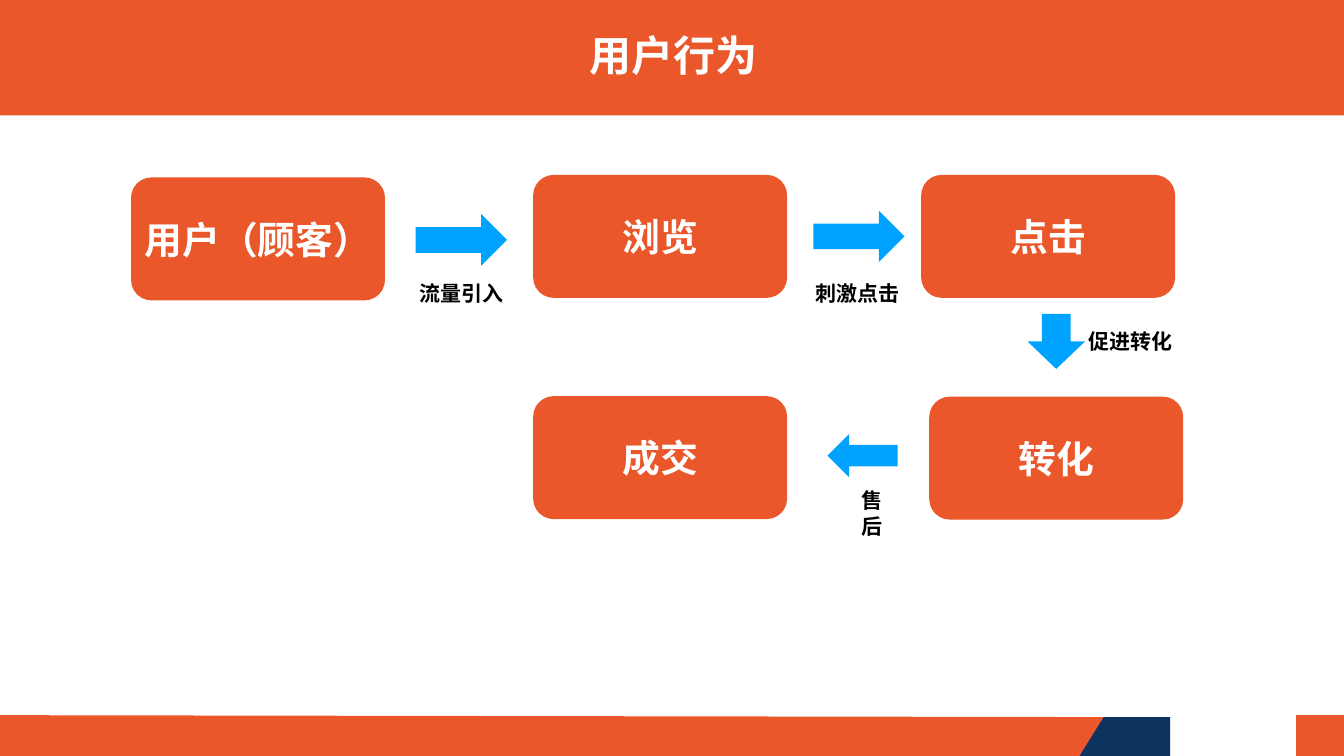
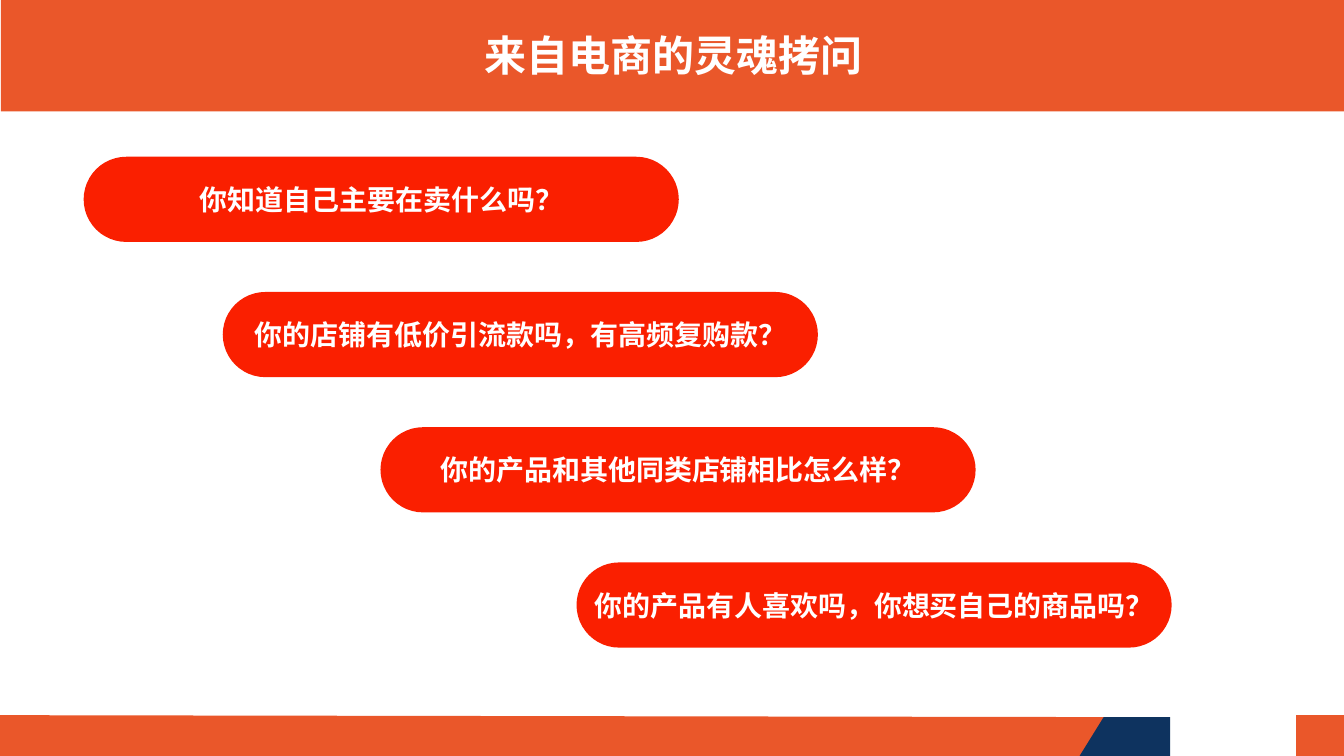
from lxml import etree
from pptx import Presentation
from pptx.dml.color import RGBColor
from pptx.enum.shapes import MSO_SHAPE
from pptx.enum.text import MSO_ANCHOR, PP_ALIGN
from pptx.oxml.ns import qn
from pptx.util import Inches, Pt

RECT = MSO_SHAPE.RECTANGLE
ROUNDED = MSO_SHAPE.ROUNDED_RECTANGLE
RIGHT_ARROW = MSO_SHAPE.RIGHT_ARROW
DOWN_ARROW = MSO_SHAPE.DOWN_ARROW
TOP, MIDDLE = MSO_ANCHOR.TOP, MSO_ANCHOR.MIDDLE
CENTER = PP_ALIGN.CENTER

COLORS = {
    "orange": "EA572A",
    "navy": "0E335F",
    "blue": "00A2FF",
    "red": "FA1F00",
    "white": "FFFFFF",
    "black": "000000",
}
CJK_FONT = "Noto Sans CJK SC"
LATIN_FONT = "Arial"
SLIDE_W, SLIDE_H = 26.67, 15
CARD_W, CARD_H = 5.04, 2.44
PILL_W, PILL_H = 11.81, 1.69
PILL_TOP, PILL_STEP = 3.11, 2.683

STEPS = [
    ("用户（顾客）", 2.6, 3.52),
    ("浏览", 10.58, 3.47),
    ("点击", 18.28, 3.47),
    ("转化", 18.44, 7.87),
    ("成交", 10.58, 7.86),
]
ARROWS = [
    (RIGHT_ARROW, (8.25, 4.25, 1.81, 1.02), 0),
    (RIGHT_ARROW, (16.14, 4.18, 1.81, 1.02), 0),
    (DOWN_ARROW, (20.39, 6.23, 1.14, 1.09), 0),
    (RIGHT_ARROW, (16.42, 8.61, 1.39, 0.86), 180),
]
ARROW_LABELS = [
    ("流量引入", (8.26, 5.51, 1.8, 0.62)),
    ("刺激点击", (16.11, 5.51, 1.8, 0.62)),
    ("促进转化", (21.54, 6.45, 1.8, 0.62)),
    ("售后", (16.82, 9.87, 0.95, 0.62)),
]
QUESTIONS = [
    ("你知道自己主要在卖什么吗？", 1.66),
    ("你的店铺有低价引流款吗，有高频复购款？", 4.42),
    ("你的产品和其他同类店铺相比怎么样？", 7.55),
    ("你的产品有人喜欢吗，你想买自己的商品吗？", 11.44),
]


def paint(shape, color):
    """Give a shape a flat fill without line or shadow."""
    shape.fill.solid()
    shape.fill.fore_color.rgb = RGBColor.from_string(COLORS[color])
    shape.line.fill.background()
    shape.shadow.inherit = False


def add_block(shapes, kind, box, color):
    """Add a flat preset shape."""
    block = shapes.add_shape(kind, *map(Inches, box))
    paint(block, color)
    return block


def add_outline(shapes, points, color):
    """Add a flat closed polygon through points in inches."""
    corners = [(Inches(x), Inches(y)) for x, y in points]
    builder = shapes.build_freeform(*corners[0])
    builder.add_line_segments(corners[1:], close=True)
    paint(builder.convert_to_shape(), color)


def write(shape, words, size, color, font=CJK_FONT, inset=0.06, anchor=MIDDLE, wrap=True):
    """Write one bold centred line into a shape."""
    frame = shape.text_frame
    frame.word_wrap = wrap
    frame.vertical_anchor = anchor
    frame.margin_left = frame.margin_right = Inches(inset)
    frame.margin_top = frame.margin_bottom = Inches(inset)
    line = frame.paragraphs[0]
    line.text = words
    line.alignment = CENTER
    line.font.name = font
    line.font.size = Pt(size)
    line.font.bold = True
    line.font.color.rgb = RGBColor.from_string(COLORS[color])
    defaults = line._p.pPr.find(qn("a:defRPr"))
    etree.SubElement(defaults, qn("a:ea"), typeface=CJK_FONT)
    return line


def add_label(slide, words, box, size, color, **style):
    """Add a text box with one line."""
    label = slide.shapes.add_textbox(*map(Inches, box))
    return write(label, words, size, color, **style)


def add_footer(slide):
    """Add the grouped footer bands."""
    footer = slide.shapes.add_group_shape().shapes
    add_outline(footer, [(0, 14.19), (22.87, 14.23), (21.51, 15.02), (0, 15.02)], "orange")
    add_outline(footer, [(21.9, 14.23), (23.22, 14.23), (23.22, 15), (21.41, 15.02)], "navy")
    add_block(footer, RECT, (25.72, 14.19, 0.95, 0.83), "orange")


def add_framed_slide(deck, title, band_left=0, band_top=0):
    """Add a slide with the title band and the footer."""
    slide = deck.slides.add_slide(deck.slide_layouts[6])
    add_block(slide.shapes, RECT, (band_left, band_top, SLIDE_W, 2.29), "orange")
    heading = add_label(slide, title, (0.9, 0.62, 24.91, 1.04), 60, "white",
                        inset=0.05, anchor=TOP)
    heading.line_spacing = 0.93
    add_footer(slide)
    return slide


def add_behaviour_slide(deck):
    """Draw the customer's path from visit to deal."""
    slide = add_framed_slide(deck, "用户行为")
    for step, left, top in STEPS:
        card = add_block(slide.shapes, ROUNDED, (left, top, CARD_W, CARD_H), "orange")
        write(card, step, 54, "white")
    for kind, box, turn in ARROWS:
        add_block(slide.shapes, kind, box, "blue").rotation = turn
    for words, box in ARROW_LABELS:
        add_label(slide, words, box, 30, "black", font=LATIN_FONT, wrap=False)


def add_questions_slide(deck):
    """Draw the staircase of questions."""
    slide = add_framed_slide(deck, "来自电商的灵魂拷问", 0.02, -0.08)
    for row, (question, left) in enumerate(QUESTIONS):
        box = (left, PILL_TOP + row * PILL_STEP, PILL_W, PILL_H)
        pill = add_block(slide.shapes, ROUNDED, box, "red")
        pill.adjustments[0] = 0.5
        write(pill, question, 40, "white", font=LATIN_FONT, inset=0)


def main():
    """Build and save the deck."""
    deck = Presentation()
    deck.slide_width, deck.slide_height = Inches(SLIDE_W), Inches(SLIDE_H)
    add_behaviour_slide(deck)
    add_questions_slide(deck)
    deck.save("out.pptx")


if __name__ == "__main__":
    main()
